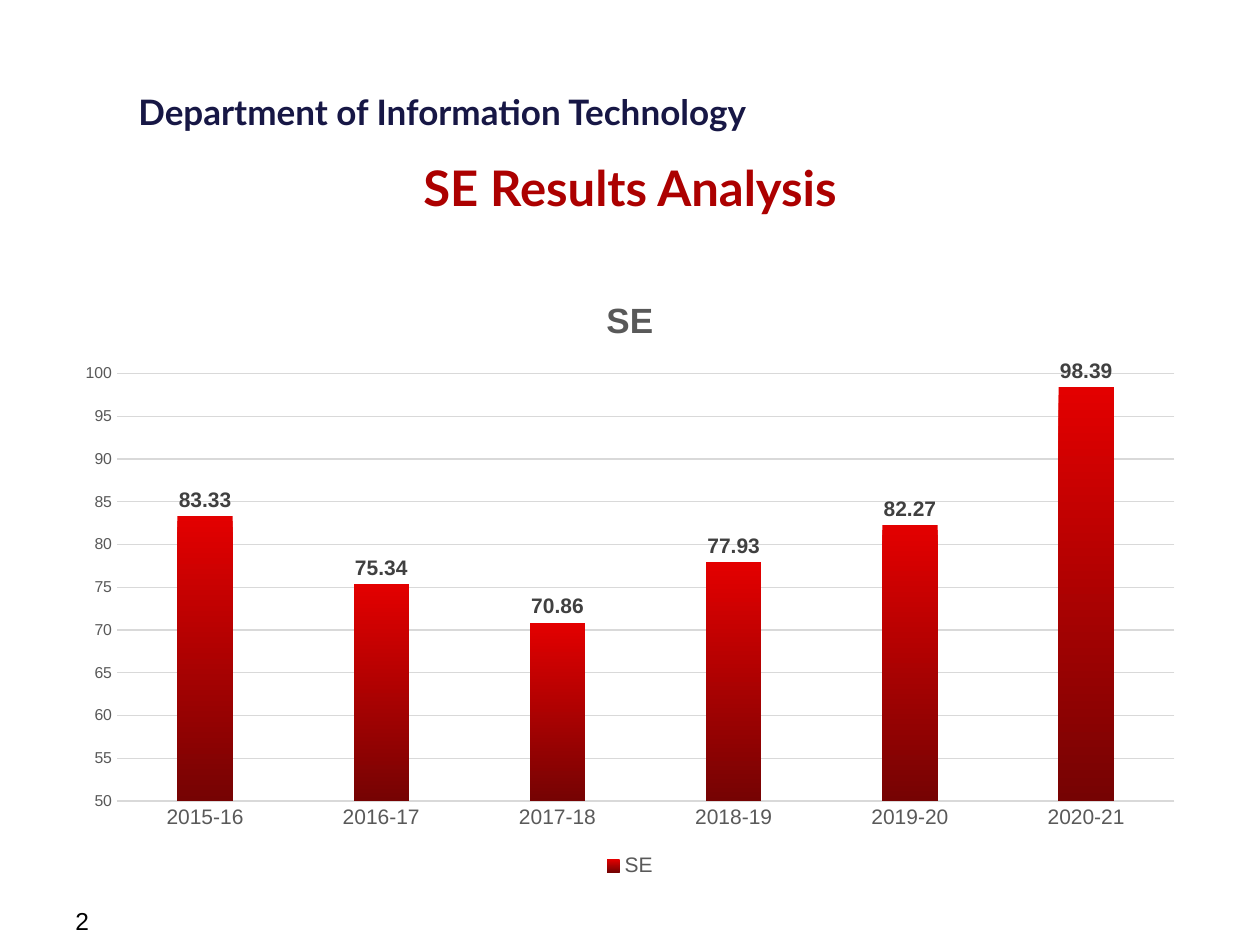
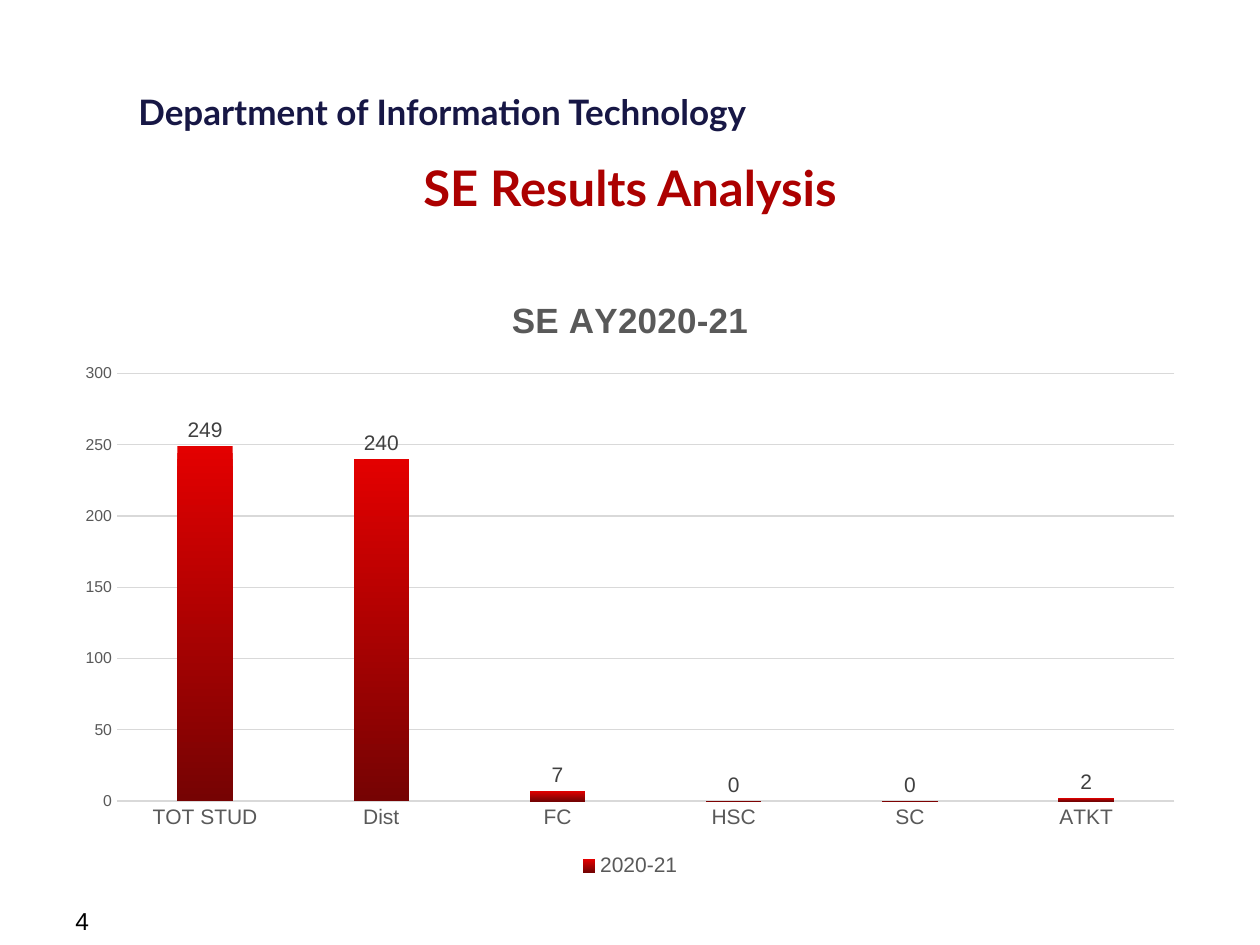
from pptx import Presentation
from pptx.chart.data import CategoryChartData as ChartData
from pptx.dml.color import RGBColor
from pptx.enum.chart import XL_CHART_TYPE as ChartType
from pptx.enum.chart import XL_LABEL_POSITION as LabelPosition
from pptx.enum.chart import XL_LEGEND_POSITION as LegendPosition
from pptx.enum.chart import XL_TICK_MARK as TickMark
from pptx.enum.text import MSO_ANCHOR as Anchor
from pptx.enum.text import PP_ALIGN as Align
from pptx.util import Pt

HEADING_FACE, PLAIN_FACE = "Lato", "Arial"
NAVY, CRIMSON, BLACK = "171745", "AC0000", "000000"
GREY, DARK_GREY, RULE_GREY = "595959", "404040", "D9D9D9"
BAR_TOP, BAR_FOOT = "E30000", "760303"
LEFT, WIDTH = 36, 648


def color(value):
    return RGBColor.from_string(value)


class ResultsDeck:
    """Builds the results slides in one shared style."""

    def __init__(self):
        self.deck = Presentation()
        self.deck.slide_width, self.deck.slide_height = Pt(720), Pt(540)
        self.slide = None

    def style(self, font, size, shade, bold=False, face=PLAIN_FACE):
        font.name, font.size, font.bold = face, Pt(size), bold
        font.color.rgb = color(shade)

    def fill_text(self, frame, text, *look, align=Align.LEFT, wrap=True):
        frame.word_wrap = wrap
        frame.vertical_anchor = Anchor.TOP
        paragraph = frame.paragraphs[0]
        paragraph.alignment = align
        run = paragraph.add_run()
        run.text = text
        self.style(run.font, *look)

    def label(self, text, box, *look, wrap=True):
        holder = self.slide.shapes.add_textbox(*map(Pt, box))
        self.fill_text(holder.text_frame, text, *look, wrap=wrap)

    def title(self, text):
        heading = self.slide.shapes.title
        heading.left, heading.top = Pt(LEFT), Pt(86.4)
        heading.width, heading.height = Pt(WIDTH), Pt(34.6)
        self.fill_text(heading.text_frame, text, 28, CRIMSON, True, HEADING_FACE,
                       align=Align.CENTER)

    def start_slide(self, number):
        self.slide = self.deck.slides.add_slide(self.deck.slide_layouts[5])
        self.label("Department of Information Technology", (72, 48, 385, 31.5),
                   20, NAVY, True, HEADING_FACE, wrap=False)
        self.title("SE Results Analysis")
        self.label(number, (LEFT, 514, 168, 19.5), 14, BLACK)

    def column_chart(self, heading, series_name, results, scale, bold_labels):
        data = ChartData()
        data.categories = list(results)
        data.add_series(series_name, list(results.values()))
        frame = self.slide.shapes.add_chart(
            ChartType.COLUMN_CLUSTERED, Pt(LEFT), Pt(156), Pt(WIDTH), Pt(348), data)
        chart = frame.chart
        self.style(chart.font, 10, BLACK)
        chart.has_title = True
        run = chart.chart_title.text_frame.paragraphs[0].add_run()
        run.text = heading
        self.style(run.font, 20, GREY, True)
        chart.has_legend = True
        chart.legend.position = LegendPosition.BOTTOM
        chart.legend.include_in_layout = False
        self.style(chart.legend.font, 12, GREY)
        self.axes(chart, *scale)
        self.columns(chart.plots[0], bold_labels)

    def axes(self, chart, low, high, step):
        groups, values = chart.category_axis, chart.value_axis
        for axis, size in ((groups, 12), (values, 9)):
            axis.major_tick_mark = axis.minor_tick_mark = TickMark.NONE
            self.style(axis.tick_labels.font, size, GREY)
        values.minimum_scale, values.maximum_scale = low, high
        values.major_unit = step
        values.format.line.fill.background()
        for rule in (groups.format.line, values.major_gridlines.format.line):
            rule.width = Pt(0.75)
            rule.color.rgb = color(RULE_GREY)

    def columns(self, plot, bold_labels):
        plot.gap_width, plot.overlap = 219, -27
        plot.vary_by_categories = False
        bars = plot.series[0]
        fill = bars.format.fill
        fill.gradient()
        fill.gradient_angle = 270
        for stop, shade in zip(fill.gradient_stops, (BAR_TOP, BAR_FOOT)):
            stop.color.rgb = color(shade)
        labels = bars.data_labels
        labels.show_value = True
        labels.position = LabelPosition.OUTSIDE_END
        self.style(labels.font, 12, DARK_GREY, bold_labels)


def main():
    results = ResultsDeck()
    results.start_slide("2")
    results.column_chart(
        "SE", "SE",
        {"2015-16": 83.33, "2016-17": 75.34, "2017-18": 70.86,
         "2018-19": 77.93, "2019-20": 82.27, "2020-21": 98.39},
        scale=(50, 100, 5), bold_labels=True)
    results.start_slide("4")
    results.column_chart(
        "SE AY2020-21", "2020-21",
        {"TOT STUD": 249, "Dist": 240, "FC": 7, "HSC": 0, "SC": 0, "ATKT": 2},
        scale=(0, 300, 50), bold_labels=False)
    results.deck.save("out.pptx")


if __name__ == "__main__":
    main()
